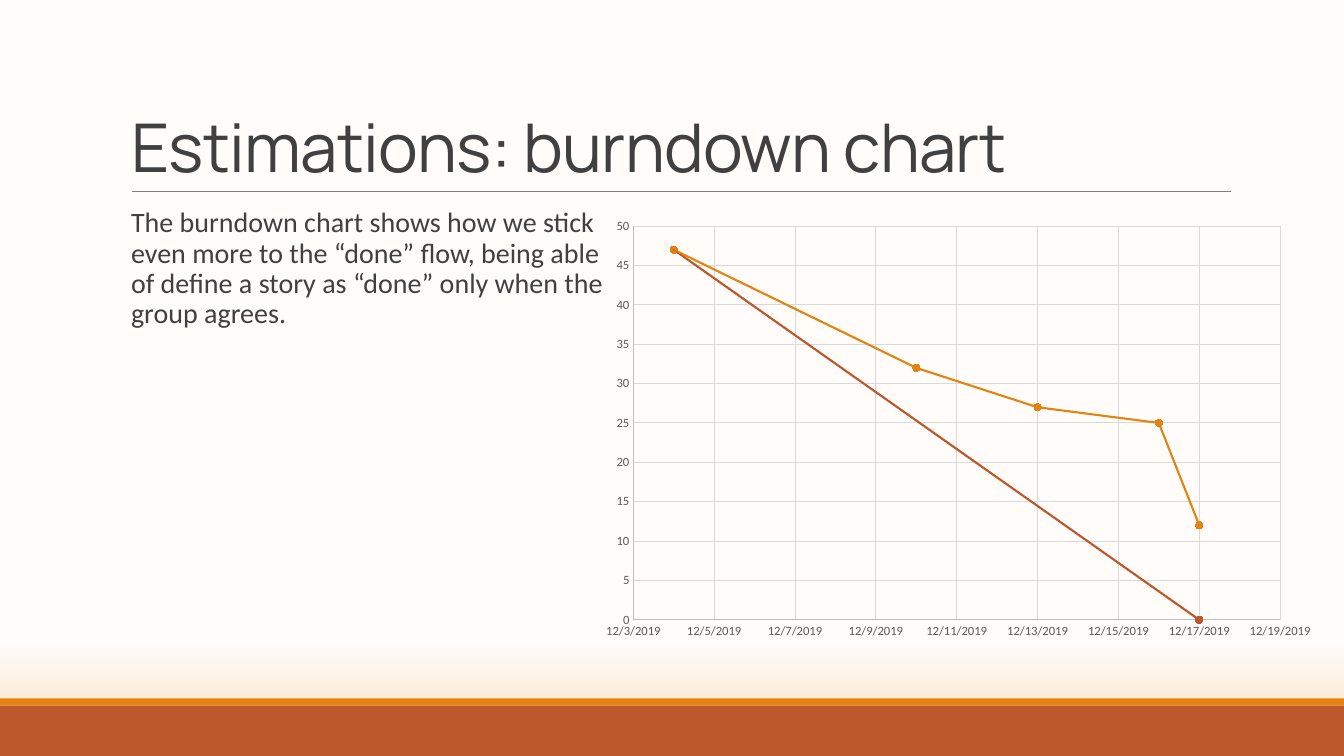
from dataclasses import dataclass

from lxml.etree import SubElement
from pptx import Presentation
from pptx.chart.data import XyChartData
from pptx.dml.color import RGBColor
from pptx.enum.chart import XL_CHART_TYPE as ChartType
from pptx.enum.chart import XL_MARKER_STYLE as Marker
from pptx.enum.chart import XL_TICK_MARK as Tick
from pptx.enum.shapes import MSO_CONNECTOR as Connector
from pptx.enum.shapes import MSO_SHAPE as Shape
from pptx.enum.text import MSO_ANCHOR as Anchor
from pptx.enum.text import MSO_AUTO_SIZE as AutoSize
from pptx.enum.text import PP_ALIGN as Align
from pptx.oxml import parse_xml
from pptx.oxml.ns import nsdecls, qn
from pptx.util import Inches, Pt

COLORS = {
    "paper": "FFFCFA", "glow": "F9DAB6", "rust": "BD582C", "orange": "E48312",
    "text": "404040", "rule": "808080", "label": "595959",
    "axis": "BFBFBF", "grid": "D9D9D9",
}
DEC_1 = 43801 - 1


@dataclass
class Band:
    top: float
    height: float
    color: str


@dataclass
class Burndown:
    name: str
    color: str
    points: list[tuple[int, int]]
    trend: bool = False


BANDS = [Band(7, 0.5, "rust"), Band(6.93, 0.07, "orange")]
BURNDOWNS = [
    Burndown("Series 1", "orange", [(4, 47), (10, 32), (13, 27), (16, 25), (17, 12)]),
    Burndown("Series 2", "rust", [(4, 47), (17, 0)], trend=True),
]


def rgb(name: str) -> RGBColor:
    return RGBColor.from_string(COLORS[name])


def serial(day: int) -> int:
    return DEC_1 + day - 1


def style_line(line, color: str, width: float) -> None:
    line.color.rgb = rgb(color)
    line.width = Pt(width)


def set_background(slide) -> None:
    fill = slide.background.fill
    fill.gradient()
    fill.gradient_angle = 270
    for stop, position, color in zip(fill.gradient_stops, (0.85, 1), ("paper", "glow")):
        stop.position = position
        stop.color.rgb = rgb(color)


def draw_band(slide, band: Band) -> None:
    sp = slide.shapes.add_shape(Shape.RECTANGLE, 0, Inches(band.top),
                                prs.slide_width, Inches(band.height))
    sp.shadow.inherit = False
    sp.fill.solid()
    sp.fill.fore_color.rgb = rgb(band.color)
    sp.line.fill.background()


def draw_rule(slide) -> None:
    rule = slide.shapes.add_connector(Connector.STRAIGHT, Inches(1.31), Inches(1.9),
                                      Inches(12.21), Inches(1.9))
    style_line(rule.line, "rule", 0.5)
    SubElement(rule._element.spPr, qn("a:effectLst"))


def fill_placeholder(sp, box: tuple, text: str, font: str, size: int,
                     anchor: Anchor, spacing: float):
    sp.left, sp.top, sp.width, sp.height = map(Inches, box)
    tf = sp.text_frame
    tf.text = text
    tf.word_wrap = True
    tf.auto_size = AutoSize.NONE
    tf.vertical_anchor = anchor
    p = tf.paragraphs[0]
    p.alignment = Align.LEFT
    p.line_spacing = spacing
    r = p.runs[0]
    r.font.name = font
    r.font.size = Pt(size)
    r.font.color.rgb = rgb("text")
    return tf


def draw_title(slide) -> None:
    tf = fill_placeholder(slide.shapes.title, (1.2, 0.31, 11, 1.59),
                          "Estimations: burndown chart", "Manrope", 48, Anchor.BOTTOM, 0.85)
    tf.paragraphs[0].runs[0].font._element.set("spc", "-50")


def draw_body(slide) -> None:
    text = ("The burndown chart shows how we stick even more to the “done” flow, "
            "being able of define a story as “done” only when the group agrees.")
    tf = fill_placeholder(slide.placeholders[1], (1.2, 2.02, 4.93, 4.4),
                          text, "Calibri", 20, Anchor.TOP, 0.9)
    tf.margin_left = tf.margin_right = 0
    p = tf.paragraphs[0]
    p.space_before, p.space_after = Pt(12), Pt(2)
    props = p._p.get_or_add_pPr()
    props.set("marL", str(Inches(0.1)))
    props.set("indent", str(Inches(-0.1)))
    bullet_color = SubElement(props, qn("a:buClr"))
    SubElement(bullet_color, qn("a:srgbClr"), val=COLORS["orange"])
    SubElement(props, qn("a:buChar"), char=" ")


def format_axis(axis, low: int, high: int, step: int, number_format: str) -> None:
    axis.minimum_scale, axis.maximum_scale, axis.major_unit = low, high, step
    axis.major_tick_mark = axis.minor_tick_mark = Tick.NONE
    axis.has_major_gridlines = True
    style_line(axis.major_gridlines.format.line, "grid", 0.75)
    style_line(axis.format.line, "axis", 0.75)
    labels = axis.tick_labels
    labels.number_format = number_format
    labels.number_format_is_linked = False
    labels.font.name = "Calibri"
    labels.font.size = Pt(9)
    labels.font.color.rgb = rgb("label")


def add_trend(series, color: str) -> None:
    trend = parse_xml(
        f'<c:trendline {nsdecls("c", "a")}><c:spPr><a:ln w="{Pt(1.5)}" cap="rnd">'
        f'<a:solidFill><a:srgbClr val="{COLORS[color]}"/></a:solidFill>'
        '<a:prstDash val="sysDot"/></a:ln></c:spPr><c:trendlineType val="linear"/>'
        '<c:dispRSqr val="0"/><c:dispEq val="0"/></c:trendline>')
    series._element.find(qn("c:xVal")).addprevious(trend)


def place_plot(chart, x: float, y: float, w: float, h: float) -> None:
    area = chart._chartSpace.chart.plotArea
    for layout in area.findall(qn("c:layout")):
        area.remove(layout)
    layout = SubElement(area, qn("c:layout"))
    area.insert(0, layout)
    manual = SubElement(layout, qn("c:manualLayout"))
    settings = {"layoutTarget": "inner", "xMode": "edge", "yMode": "edge",
                "x": x, "y": y, "w": w, "h": h}
    for tag, value in settings.items():
        SubElement(manual, qn(f"c:{tag}"), val=str(value))


def draw_chart(slide) -> None:
    data = XyChartData()
    for burndown in BURNDOWNS:
        series = data.add_series(burndown.name)
        for day, left in burndown.points:
            series.add_data_point(serial(day), left)
    chart = slide.shapes.add_chart(ChartType.XY_SCATTER_LINES, Inches(6), Inches(1.93),
                                   Inches(7.05), Inches(4.49), data).chart
    chart.has_title = chart.has_legend = False
    chart.font.name = "Calibri"
    chart.font.size = Pt(10)
    place_plot(chart, 0.04, 0.07, 0.91, 0.87)
    format_axis(chart.category_axis, serial(3), serial(19), 2, "m/d/yyyy")
    format_axis(chart.value_axis, 0, 50, 5, "General")
    plot = chart.plots[0]
    plot.vary_by_categories = False
    for series, burndown in zip(plot.series, BURNDOWNS):
        series.smooth = False
        style_line(series.format.line, burndown.color, 1.5)
        marker = series.marker
        marker.style, marker.size = Marker.CIRCLE, 5
        marker.format.fill.solid()
        marker.format.fill.fore_color.rgb = rgb(burndown.color)
        style_line(marker.format.line, burndown.color, 0.75)
        if burndown.trend:
            add_trend(series, burndown.color)


prs = Presentation()
prs.slide_width, prs.slide_height = Inches(13.33), Inches(7.5)
slide = prs.slides.add_slide(prs.slide_layouts[1])
set_background(slide)
for band in BANDS:
    draw_band(slide, band)
draw_rule(slide)
draw_title(slide)
draw_body(slide)
draw_chart(slide)
prs.save("out.pptx")
